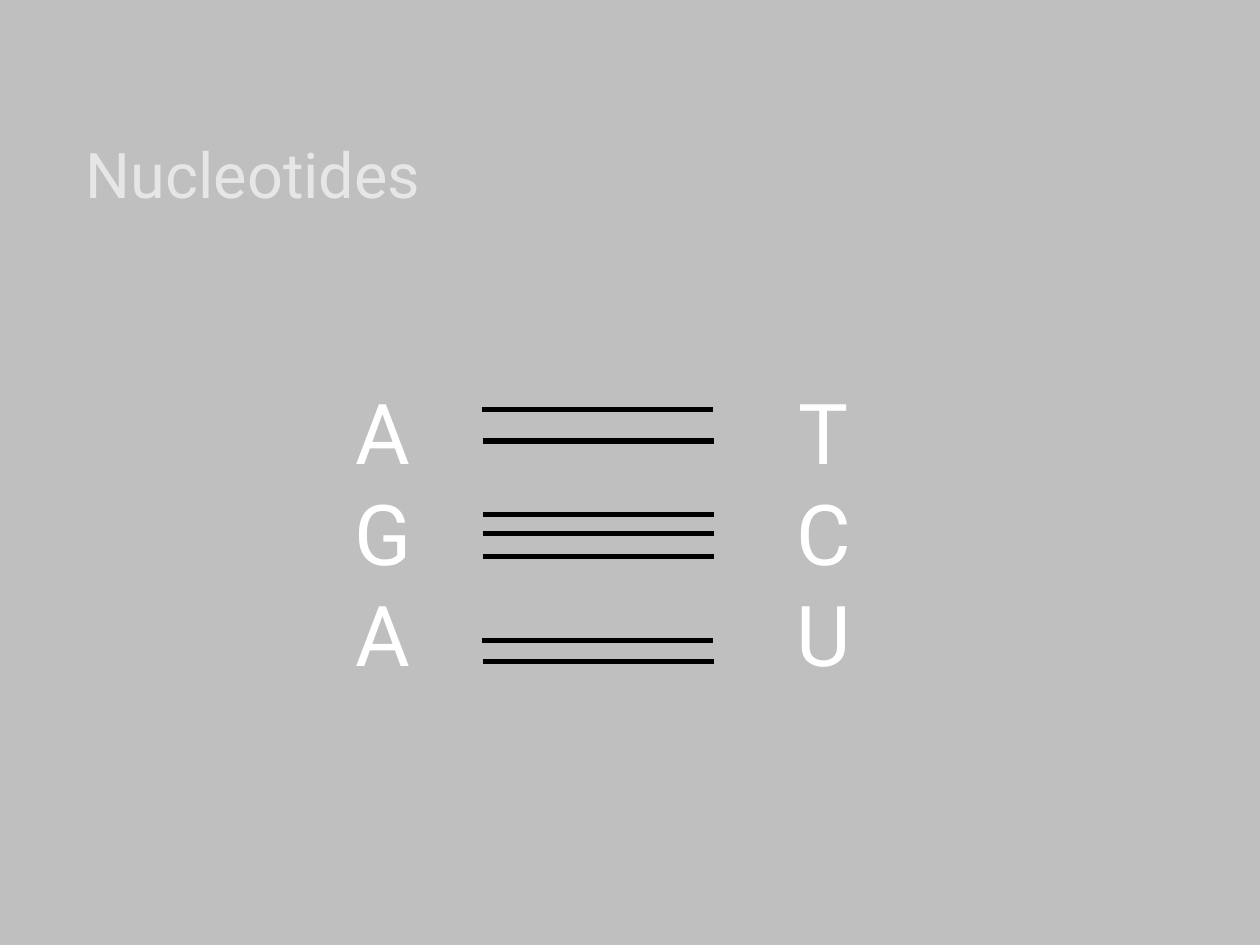
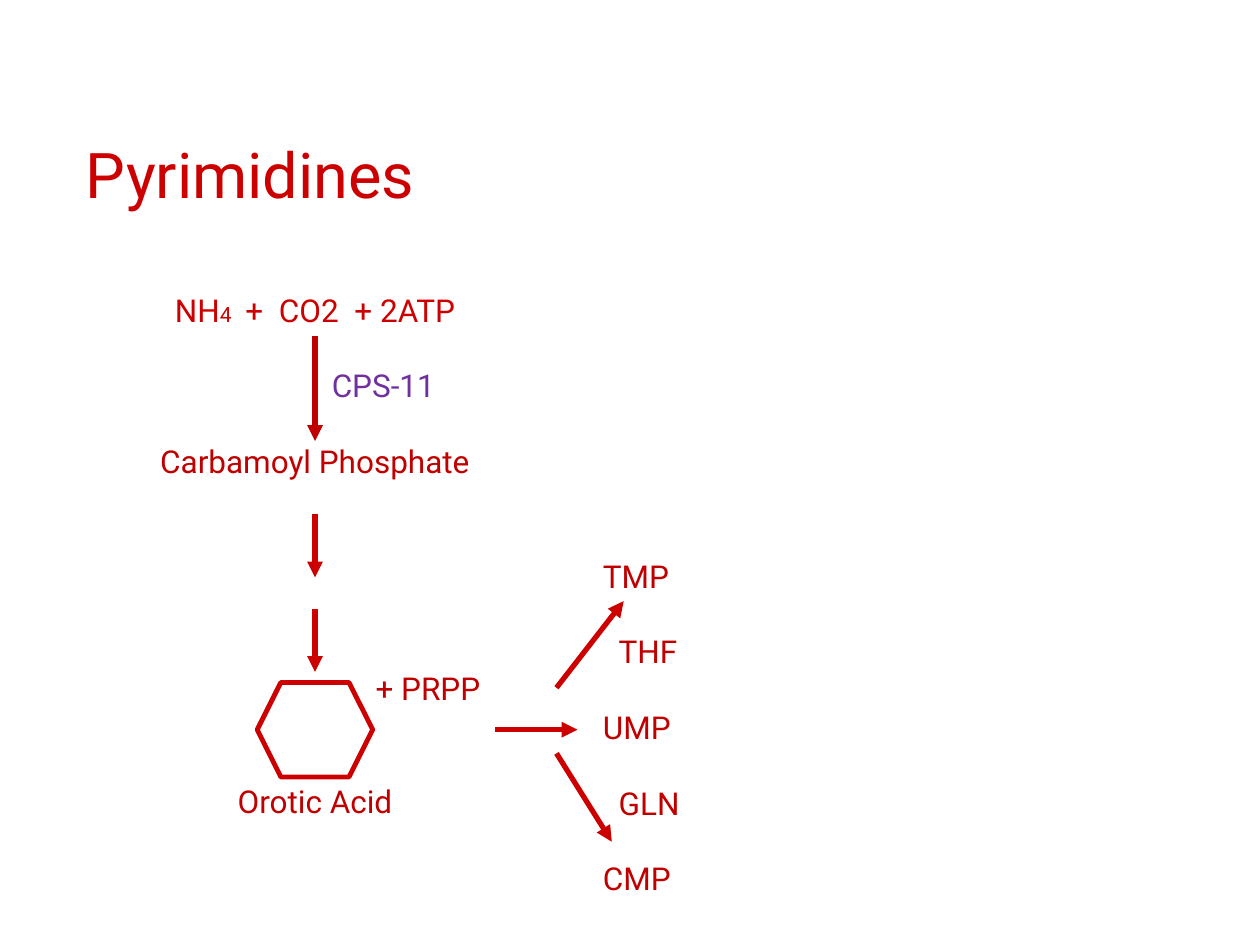
import pptx
import pptx.util
import pptx.dml.color
import pptx.enum.shapes
import pptx.enum.text
import pptx.oxml
import pptx.oxml.ns
from dataclasses import dataclass

Pt = pptx.util.Pt
Rgb = pptx.dml.color.RGBColor.from_string
Align = pptx.enum.text.PP_ALIGN


@dataclass
class Theme:
    face: str = "Roboto"
    white: str = "FFFFFF"
    grey: str = "BFBFBF"
    pale: str = "E7E6E6"
    black: str = "000000"
    red: str = "CC0000"
    dark: str = "C00000"
    violet: str = "7030A0"
    title: int = 36
    base: int = 48
    body: int = 18
    space: int = 14
    sub: int = 12
    row: float = 21.6


theme = Theme()


def write(slide, place, lines, size):
    box = slide.shapes.add_textbox(*map(Pt, place))
    frame = box.text_frame
    frame.word_wrap = True
    for spot, (words, color, gap, indent) in enumerate(lines):
        para = frame.add_paragraph() if spot else frame.paragraphs[0]
        para.alignment = Align.CENTER if indent is None else Align.LEFT
        if indent:
            para._p.get_or_add_pPr().set("marL", str(Pt(indent)))
        if gap:
            para.space_before = Pt(gap * theme.row)
        para.font.name = theme.face
        para.font.color.rgb = Rgb(color)
        if isinstance(words, str):
            para.add_run().text = words
            para.font.size = Pt(size)
        else:
            for part, high in words:
                run = para.add_run()
                run.text = part
                run.font.size = Pt(high)
    return frame


def draw(slide, ends, color, arrow=False):
    kind = pptx.enum.shapes.MSO_CONNECTOR.STRAIGHT
    line = slide.shapes.add_connector(kind, *map(Pt, ends))
    line.line.color.rgb = Rgb(color)
    line.line.width = Pt(3)
    props = line._element.spPr
    if arrow:
        tip = pptx.oxml.parse_xml(
            f'<a:tailEnd {pptx.oxml.ns.nsdecls("a")} type="triangle"/>')
        line.line._get_or_add_ln().append(tip)
    props.append(pptx.oxml.parse_xml(
        f'<a:effectLst {pptx.oxml.ns.nsdecls("a")}/>'))


deck = pptx.Presentation()
deck.slide_width, deck.slide_height = Pt(720), Pt(540)

pages = []
for name, back, color in [
    ("Nucleotides", theme.grey, theme.pale),
    ("Pyrimidines", theme.white, theme.red),
]:
    page = deck.slides.add_slide(deck.slide_layouts[6])
    page.background.fill.solid()
    page.background.fill.fore_color.rgb = Rgb(back)
    head = write(page, (42, 59, 543, 85), [(name, color, 0, 0)], theme.title)
    head.vertical_anchor = pptx.enum.text.MSO_ANCHOR.MIDDLE
    head.paragraphs[0].line_spacing = 0.9
    pages.append(page)

pairs, path = pages

for left, bases in [(162, "AGA"), (414, "TCU")]:
    lines = [(base, theme.white, 0, None) for base in bases]
    write(pairs, (left, 214, 113.5, 181.5), lines, theme.base)

for left, top in [
    (275.3, 234), (275.8, 252),
    (275.8, 294), (275.8, 304.8), (275.8, 318),
    (275.3, 366), (275.8, 378),
]:
    draw(pairs, (left, top, left + 132, top), theme.black)

start = [("NH", theme.body), ("4", theme.sub), (" ", theme.space),
         (" +  CO2  + 2ATP", theme.body)]
write(path, (66, 162.7, 228, 312.5), [
    (start, theme.red, 0, None),
    ("CPS-11", theme.violet, 1, 116.5),
    ("Carbamoyl Phosphate", theme.dark, 1, None),
    ("+ PRPP", theme.dark, 5, 141.5),
    ("Orotic Acid", theme.dark, 2, None),
], theme.body)

ring = path.shapes.add_shape(
    pptx.enum.shapes.MSO_SHAPE.HEXAGON, Pt(147), Pt(390), Pt(66), Pt(54))
ring.shadow.inherit = False
ring.fill.background()
ring.line.color.rgb = Rgb(theme.red)
ring.line.width = Pt(2.75)

write(path, (337.5, 314.6, 174, 204), [
    (name, theme.dark, min(spot, 1), spot % 2 * 9)
    for spot, name in enumerate(["TMP", "THF", "UMP", "GLN", "CMP"])
], theme.body)

draw(path, (180, 192, 180, 252), theme.dark, True)
for ends in [
    (180, 294, 180, 330),
    (180, 348, 180, 384),
    (283, 417, 330, 417),
    (318, 430.5, 349.6, 481),
    (318, 393, 356.4, 343.5),
]:
    draw(path, ends, theme.red, True)

deck.save("out.pptx")
